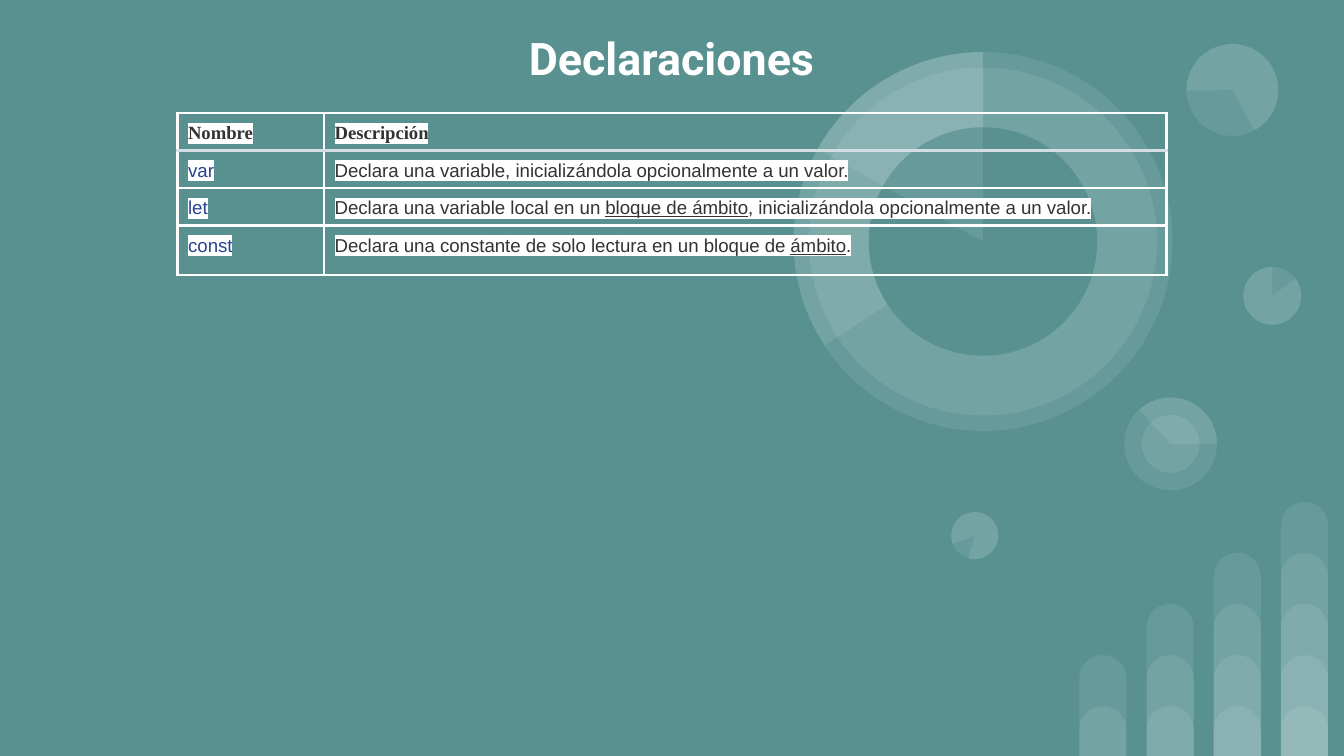
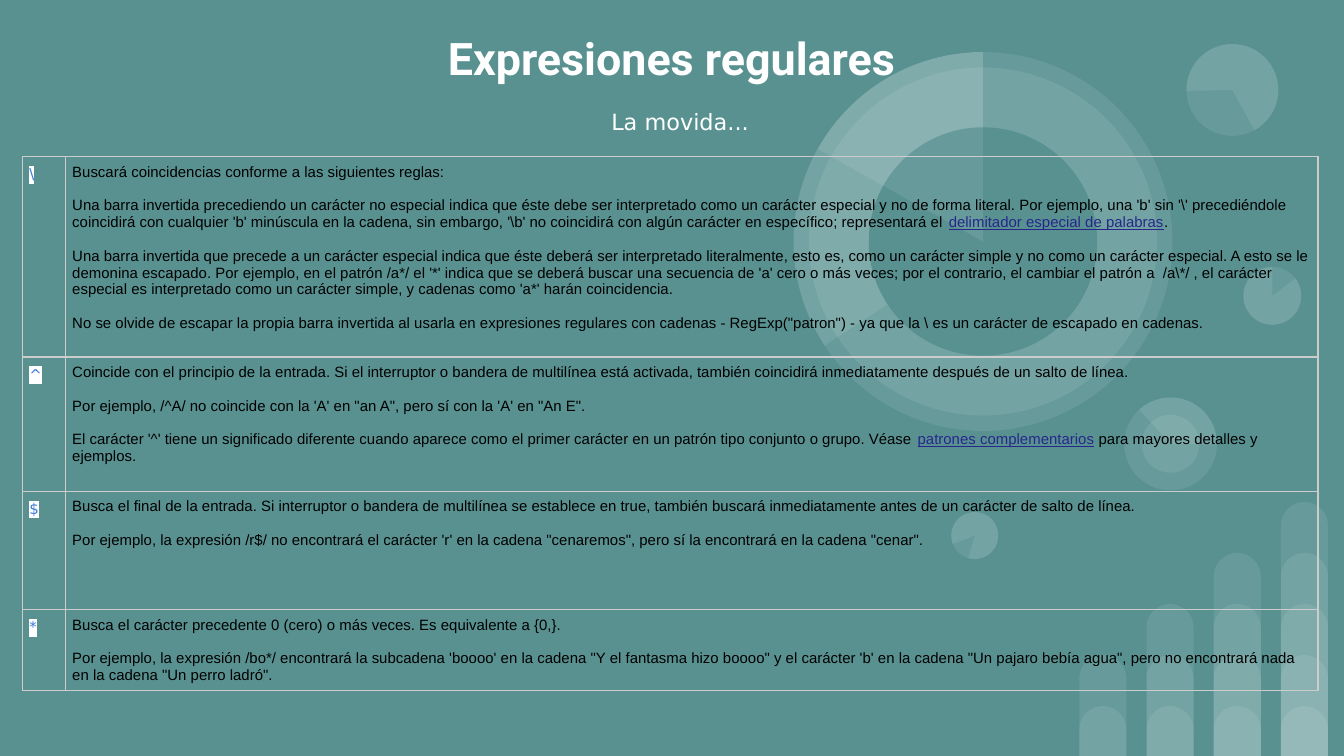
"""Build two slides on JavaScript declarations and regular expressions."""
from dataclasses import dataclass, replace
from itertools import cycle

from lxml.etree import SubElement
from pptx import Presentation
from pptx.dml.color import RGBColor
from pptx.enum.shapes import MSO_SHAPE as SHAPE, PP_PLACEHOLDER as HOLDER
from pptx.enum.text import MSO_ANCHOR as ANCHOR, MSO_AUTO_SIZE as AUTO_SIZE, PP_ALIGN as ALIGN
from pptx.oxml import parse_xml
from pptx.oxml.ns import nsdecls, qn
from pptx.util import Pt

TEAL = RGBColor(0x59, 0x91, 0x91)
WHITE = RGBColor(0xFF, 0xFF, 0xFF)
BLACK = RGBColor(0, 0, 0)
CHARCOAL = RGBColor(0x33, 0x33, 0x33)
NAVY = RGBColor(0x27, 0x42, 0x8F)
INDIGO = RGBColor(0x27, 0x27, 0x8B)
SYMBOL_BLUE = RGBColor(0x3C, 0x78, 0xD8)
PALE_BLUE = RGBColor(0xD4, 0xDD, 0xE4)
LIGHT_GRAY = RGBColor(0xCC, 0xCC, 0xCC)

SLIDE_WIDTH, SLIDE_HEIGHT = 720, 405
VEIL_ALPHA = 9


@dataclass(frozen=True)
class Style:
    """Character formatting of a run."""
    font: str
    size: float
    color: RGBColor
    bold: bool = False
    underline: bool = False
    highlight: RGBColor | None = None


TITLE = Style("Roboto", 24, WHITE, bold=True)
SUBTITLE = Style("DejaVu Sans", 12, WHITE)
HEADER = Style("Times New Roman", 10, CHARCOAL, bold=True, highlight=WHITE)
KEYWORD = Style("Arial", 10, NAVY, highlight=WHITE)
MEANING = replace(KEYWORD, color=CHARCOAL)
MEANING_LINK = replace(MEANING, underline=True)
SYMBOL = Style("DejaVu Sans", 8, SYMBOL_BLUE, highlight=WHITE)
RULE = Style("Arial", 8, BLACK)
RULE_LINK = replace(RULE, color=INDIGO, underline=True)

DECLARATIONS = [
    ("var", ["Declara una variable, inicializándola opcionalmente a un valor."]),
    ("let", ["Declara una variable local en un ", "bloque de ámbito",
             ", inicializándola opcionalmente a un valor."]),
    ("const", ["Declara una constante de solo lectura en un bloque de ", "ámbito", "."]),
]

EXPRESSIONS = [
    ("\\", [
        ["Buscará coincidencias conforme a las siguientes reglas:"],
        ["Una barra invertida precediendo un carácter no especial indica que éste debe ser "
         "interpretado como un carácter especial y no de forma literal. Por ejemplo, una 'b' "
         r"sin '\' precediéndole coincidirá con cualquier 'b' minúscula en la cadena, sin "
         r"embargo, '\b' no coincidirá con algún carácter en específico; representará el ",
         "delimitador especial de palabras", "."],
        ["Una barra invertida que precede a un carácter especial indica que éste deberá ser "
         "interpretado literalmente, esto es, como un carácter simple y no como un carácter "
         "especial. A esto se le demonina escapado. Por ejemplo, en el patrón /a*/ el '*' "
         "indica que se deberá buscar una secuencia de 'a' cero o más veces; por el contrario, "
         r"el cambiar el patrón a  /a\*/ , el carácter especial es interpretado como un "
         "carácter simple, y cadenas como 'a*' harán coincidencia."],
        ["No se olvide de escapar la propia barra invertida al usarla en expresiones regulares "
         r'con cadenas - RegExp("patron") - ya que la \ es un carácter de escapado en cadenas.'],
    ]),
    ("^", [
        ["Coincide con el principio de la entrada. Si el interruptor o bandera de multilínea "
         "está activada, también coincidirá inmediatamente después de un salto de línea."],
        ["Por ejemplo, /^A/ no coincide con la 'A' en \"an A\", pero sí con la 'A' en \"An E\"."],
        ["El carácter '^' tiene un significado diferente cuando aparece como el primer carácter "
         "en un patrón tipo conjunto o grupo. Véase ",
         "patrones complementarios", " para mayores detalles y ejemplos."],
    ]),
    ("$", [
        ["Busca el final de la entrada. Si interruptor o bandera de multilínea se establece en "
         "true, también buscará inmediatamente antes de un carácter de salto de línea."],
        ["Por ejemplo, la expresión /r$/ no encontrará el carácter 'r' en la cadena "
         '"cenaremos", pero sí la encontrará en la cadena "cenar".'],
    ]),
    ("*", [
        ["Busca el carácter precedente 0 (cero) o más veces. Es equivalente a {0,}."],
        ["Por ejemplo, la expresión /bo*/ encontrará la subcadena 'boooo' en la cadena "
         "\"Y el fantasma hizo boooo\" y el carácter 'b' en la cadena \"Un pajaro bebía agua\", "
         'pero no encontrará nada en la cadena "Un perro ladró".'],
    ]),
]


def add_run(para, text, style):
    """Append one formatted run to a paragraph."""
    span = para.add_run()
    span.text = text
    font = span.font
    font.name, font.size, font.bold = style.font, Pt(style.size), style.bold
    font.underline = style.underline
    font.color.rgb = style.color
    if style.highlight is not None:
        latin = span._r.get_or_add_rPr().find(qn("a:latin"))
        latin.addprevious(parse_xml(
            f'<a:highlight {nsdecls("a")}><a:srgbClr val="{style.highlight}"/></a:highlight>'))


def write(frame, paragraphs, style, link=None, spacing=1.0, gap=0):
    """Fill a text frame; in each paragraph every second part is a link."""
    for index, parts in enumerate(paragraphs):
        para = frame.add_paragraph() if index else frame.paragraphs[0]
        para.line_spacing = spacing
        if index < len(paragraphs) - 1:
            para.space_after = Pt(gap)
        for text, part_style in zip(parts, cycle((style, link))):
            add_run(para, text, part_style)


def write_centered(box, text, style, spacing=1.0):
    """Write one centred line into a title or text box."""
    frame = box.text_frame
    frame.word_wrap = True
    frame.auto_size = AUTO_SIZE.NONE
    frame.vertical_anchor = ANCHOR.MIDDLE
    frame.margin_left = frame.margin_right = frame.margin_top = frame.margin_bottom = Pt(7.2)
    write(frame, [[text]], style, spacing=spacing)
    frame.paragraphs[0].alignment = ALIGN.CENTER


def add_titled_slide(deck, layout, text):
    """Add a slide and set its title."""
    slide = deck.slides.add_slide(layout)
    title = slide.shapes.title
    title.left, title.top, title.width, title.height = Pt(52.6), Pt(15.8), Pt(614.2), Pt(30.2)
    write_centered(title, text, TITLE)
    return slide


def add_veil(group, kind, left, top, width, height, color=WHITE, alpha=VEIL_ALPHA):
    """Add a borderless decoration shape, translucent unless alpha is None."""
    shape = group.shapes.add_shape(kind, Pt(left), Pt(top), Pt(width), Pt(height))
    shape.shadow.inherit = False
    shape.line.fill.background()
    shape.fill.solid()
    shape.fill.fore_color.rgb = color
    if alpha is not None:
        tint = shape.element.spPr.find(qn("a:solidFill"))[0]
        SubElement(tint, qn("a:alpha"), val=str(alpha * 1000))
    return shape


def add_disc(group, center, diameter, turn=0, **look):
    """Add a circle around a centre point."""
    x, y = center
    disc = add_veil(group, SHAPE.OVAL, x - diameter / 2, y - diameter / 2,
                    diameter, diameter, **look)
    disc.rotation = turn


def add_slice(group, center, diameter, start, end=270, turn=0):
    """Add a pie slice between two angles in degrees."""
    x, y = center
    piece = add_veil(group, SHAPE.PIE, x - diameter / 2, y - diameter / 2, diameter, diameter)
    piece.rotation = turn
    piece.adjustments[0], piece.adjustments[1] = start * 0.6, end * 0.6


def add_bars(group):
    """Add four columns of overlapping rounded bars, each one level taller."""
    for column in range(4):
        for level in range(column + 2):
            height = 26.7 + 27.35 * level
            bar = add_veil(group, SHAPE.ROUND_2_SAME_RECTANGLE, 578.2 + 36 * column,
                           SLIDE_HEIGHT - height, 25.2, height)
            bar.adjustments[0], bar.adjustments[1] = 0.5, 0


def add_pies(group):
    """Add the large ring and the small pies around it."""
    ring, corner, side = (526.6, 129.4), (660.2, 48.2), (681.6, 158.5)
    target, small = (627.1, 237.8), (522.2, 286.9)
    add_disc(group, side, 31)
    add_slice(group, side, 31, 322.95)
    add_disc(group, small, 25.2, turn=196.2)
    add_slice(group, small, 25.2, 322.95, turn=196.2)
    add_disc(group, target, 49.7, turn=90)
    add_slice(group, target, 49.7, 137.41, 270.77, turn=90)
    add_disc(group, target, 31, turn=90)
    add_disc(group, corner, 49.2, turn=215.9)
    add_slice(group, corner, 49.2, 322.95, 205.23, turn=215.9)
    add_disc(group, ring, 203)
    add_disc(group, ring, 186.5, turn=34.1)
    add_slice(group, ring, 203, 146.69)
    add_disc(group, ring, 122.4, turn=34.1, color=TEAL, alpha=None)
    add_slice(group, ring, 203, 209.24)


def decorate_layout(layout, slide):
    """Draw the shared decoration and move it from the slide to its layout."""
    for holder in list(layout.placeholders):
        if holder.placeholder_format.type != HOLDER.TITLE:
            layout.shapes.element.remove(holder.element)
    for draw in (add_bars, add_pies):
        group = slide.shapes.add_group_shape()
        draw(group)
        layout.shapes.element.append(group.element)


def set_borders(cell, width, color, **sides):
    """Draw the four cell borders; sides L, R, T, B may override the colour."""
    properties = cell._tc.get_or_add_tcPr()
    for index, side in enumerate("LRTB"):
        properties.insert(index, parse_xml(
            f'<a:ln{side} {nsdecls("a")} w="{Pt(width)}"><a:solidFill>'
            f'<a:srgbClr val="{sides.get(side, color)}"/></a:solidFill></a:ln{side}>'))


def add_plain_table(slide, left, top, widths, heights, margins):
    """Add a table without fills or banding."""
    table = slide.shapes.add_table(len(heights), len(widths), Pt(left), Pt(top),
                                   Pt(sum(widths)), Pt(sum(heights))).table
    table.first_row = table.horz_banding = False
    for column, width in zip(table.columns, widths):
        column.width = Pt(width)
    for row, height in zip(table.rows, heights):
        row.height = Pt(height)
    for cell in table.iter_cells():
        cell.fill.background()
        cell.margin_left = cell.margin_right = Pt(margins[0])
        cell.margin_top = cell.margin_bottom = Pt(margins[1])
    return table


def add_declarations(slide):
    """Add the table of declaration keywords."""
    table = add_plain_table(slide, 95, 60.7, (78.5, 451.4), (13.7, 16.6, 20.2, 26.6), (5.8, 3.6))
    for column, text in enumerate(("Nombre", "Descripción")):
        write(table.cell(0, column).text_frame, [[text]], HEADER, spacing=1.15)
    for row, (keyword, parts) in enumerate(DECLARATIONS, 1):
        write(table.cell(row, 0).text_frame, [[keyword]], KEYWORD, spacing=1.15)
        write(table.cell(row, 1).text_frame, [parts], MEANING, MEANING_LINK, spacing=1.15)
    header_rule = {0: {"B": PALE_BLUE}, 1: {"T": PALE_BLUE}}
    for row in range(len(table.rows)):
        for column in range(2):
            set_borders(table.cell(row, column), 1.47, WHITE, **header_rule.get(row, {}))


def add_expressions(slide):
    """Add the subtitle and the table of special characters."""
    box = slide.shapes.add_textbox(Pt(92.2), Pt(44.6), Pt(544.3), Pt(38.9))
    write_centered(box, "La movida...", SUBTITLE, spacing=1.15)
    table = add_plain_table(slide, 12.1, 84, (23, 671), (107.3, 72, 63.4, 41.8), (3.6, 3.6))
    for row, (symbol, paragraphs) in enumerate(EXPRESSIONS):
        write(table.cell(row, 0).text_frame, [[symbol]], SYMBOL, spacing=1.15)
        write(table.cell(row, 1).text_frame, paragraphs, RULE, RULE_LINK, gap=9)
    for cell in table.iter_cells():
        set_borders(cell, 0.75, LIGHT_GRAY)


def main():
    """Build and save the deck."""
    deck = Presentation()
    deck.slide_width, deck.slide_height = Pt(SLIDE_WIDTH), Pt(SLIDE_HEIGHT)
    backdrop = deck.slide_master.background.fill
    backdrop.solid()
    backdrop.fore_color.rgb = TEAL
    layout = deck.slide_layouts.get_by_name("Title Only")

    declarations = add_titled_slide(deck, layout, "Declaraciones")
    decorate_layout(layout, declarations)
    add_declarations(declarations)
    add_expressions(add_titled_slide(deck, layout, "Expresiones regulares"))
    deck.save("out.pptx")


if __name__ == "__main__":
    main()
